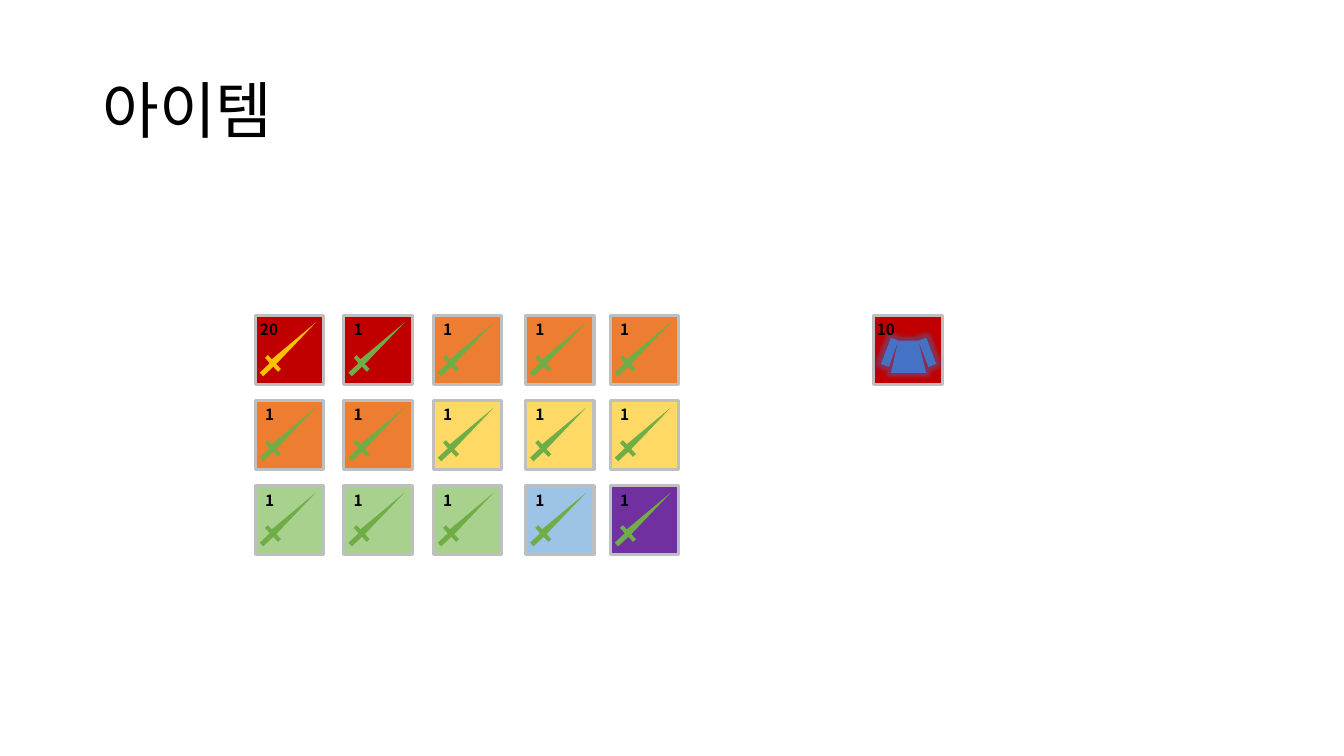
from dataclasses import dataclass

from lxml import etree
from pptx import Presentation
from pptx.dml.color import RGBColor
from pptx.enum.shapes import MSO_SHAPE
from pptx.enum.text import MSO_ANCHOR, MSO_AUTO_SIZE, PP_ALIGN
from pptx.oxml.ns import qn
from pptx.util import Pt

RECT = MSO_SHAPE.RECTANGLE
TRIANGLE = MSO_SHAPE.ISOSCELES_TRIANGLE
LEFT = PP_ALIGN.LEFT
MIDDLE = MSO_ANCHOR.MIDDLE
FIT_TEXT = MSO_AUTO_SIZE.SHAPE_TO_FIT_TEXT


@dataclass(frozen=True)
class Theme:
    """Colours, font and type sizes of the slide."""
    font: str = "Noto Sans CJK KR"
    title_size: int = 44
    count_size: int = 11
    ink: str = "000000"
    frame: str = "BFBFBF"
    red: str = "C00000"
    orange: str = "ED7D31"
    yellow: str = "FFD966"
    green: str = "A9D18E"
    blue: str = "9DC3E6"
    purple: str = "7030A0"
    gold_blade: str = "FFC000"
    green_blade: str = "70AD47"
    armor: str = "4472C4"


THEME = Theme()
TILE_SIZE = 49
TOP_ROW = 225.4
ROW_STEP = 60.75
COLUMN_LEFTS = (182.2, 245.6, 309.4, 375.3, 435.8)
ARMOR_LEFT = 624.2
SWORD_ANGLE = 46.9
SWORD_PARTS = (
    (TRIANGLE, 24.9, -2.1, 5, 44),
    (RECT, 5.9, 32.8, 13.7, 2.9),
    (RECT, 6.4, 33.6, 3.6, 10.1),
)
ARMOR_PANELS = (
    ((17.3, 18), (31.7, 18), (37.4, 41), (12.2, 41)),
    ((12.2, 15.8), (17.3, 18), (10.8, 36.7), (5, 34.6)),
    ((37.4, 15.8), (44.6, 34.6), (38.9, 36.7), (31.7, 18)),
)
TILE_FILLS = (
    (THEME.red, THEME.red, THEME.orange, THEME.orange, THEME.orange),
    (THEME.orange, THEME.orange, THEME.yellow, THEME.yellow, THEME.yellow),
    (THEME.green, THEME.green, THEME.green, THEME.blue, THEME.purple),
)


def paint(shape, color):
    """Give a shape a flat fill without line or shadow."""
    shape.shadow.inherit = False
    shape.fill.solid()
    shape.fill.fore_color.rgb = RGBColor.from_string(color)
    shape.line.fill.background()


def write(paragraph, text, size, bold=False):
    """Add one run in the slide's font."""
    run = paragraph.add_run()
    run.text = text
    run.font.name = THEME.font
    run.font.size = Pt(size)
    run.font.bold = bold
    run.font.color.rgb = RGBColor.from_string(THEME.ink)
    east_asian = etree.SubElement(run.font._element, qn("a:ea"))
    east_asian.set("typeface", THEME.font)


def add_title(slide, text):
    """Place and fill the title placeholder."""
    title = slide.shapes.title
    title.left, title.top, title.width, title.height = Pt(66), Pt(28.8), Pt(828), Pt(104.4)
    title.text_frame.vertical_anchor = MIDDLE
    paragraph = title.text_frame.paragraphs[0]
    paragraph.alignment = LEFT
    paragraph.line_spacing = 0.9
    write(paragraph, text, THEME.title_size)


def add_tile(item, left, top, color):
    """Draw the framed square behind an item."""
    tile = item.shapes.add_shape(RECT, Pt(left), Pt(top), Pt(TILE_SIZE), Pt(TILE_SIZE))
    paint(tile, color)
    tile.line.color.rgb = RGBColor.from_string(THEME.frame)
    tile.line.width = Pt(2.25)


def add_sword(item, left, top, color):
    """Draw blade, guard and grip on a tile."""
    for kind, dx, dy, width, height in SWORD_PARTS:
        part = item.shapes.add_shape(kind, Pt(left + dx), Pt(top + dy), Pt(width), Pt(height))
        part.rotation = SWORD_ANGLE
        paint(part, color)


def add_armor(item, left, top, color):
    """Draw the glowing body and sleeves on a tile."""
    panels = [[(Pt(left + x), Pt(top + y)) for x, y in panel] for panel in ARMOR_PANELS]
    builder = item.shapes.build_freeform(*panels[0][0])
    for index, (start, *others) in enumerate(panels):
        if index:
            builder.move_to(*start)
        builder.add_line_segments(others, close=True)
    armor = builder.convert_to_shape()
    paint(armor, color)
    effects = armor._element.spPr.find(qn("a:effectLst"))
    glow = etree.SubElement(effects, qn("a:glow"), rad=str(Pt(5)))
    glow_color = etree.SubElement(glow, qn("a:srgbClr"), val=color)
    etree.SubElement(glow_color, qn("a:alpha"), val="40000")


def add_count(item, left, top, count, shift):
    """Write the item count in the tile's upper left corner."""
    width = 27.4 if len(count) > 1 else 20.9
    label = item.shapes.add_textbox(Pt(left + shift), Pt(top), Pt(width), Pt(20.6))
    label.text_frame.word_wrap = False
    label.text_frame.auto_size = FIT_TEXT
    write(label.text_frame.paragraphs[0], count, THEME.count_size, bold=True)


def add_item(slide, left, top, fill, draw_icon, icon_color, count="1", shift=0):
    """Group a tile, its icon and its count."""
    item = slide.shapes.add_group_shape()
    add_tile(item, left, top, fill)
    draw_icon(item, left, top, icon_color)
    add_count(item, left, top, count, shift)


def main():
    """Build the item slide."""
    deck = Presentation()
    deck.slide_width, deck.slide_height = Pt(960), Pt(540)
    slide = deck.slides.add_slide(deck.slide_layouts[5])
    add_title(slide, "아이템")
    for row, fills in enumerate(TILE_FILLS):
        top = TOP_ROW + row * ROW_STEP
        for column, (left, fill) in enumerate(zip(COLUMN_LEFTS, fills)):
            if row == column == 0:
                add_item(slide, left, top, fill, add_sword, THEME.gold_blade, "20", -3.6)
            else:
                add_item(slide, left, top, fill, add_sword, THEME.green_blade)
    add_item(slide, ARMOR_LEFT, TOP_ROW, THEME.red, add_armor, THEME.armor, "10", -5)
    deck.save("out.pptx")


if __name__ == "__main__":
    main()
